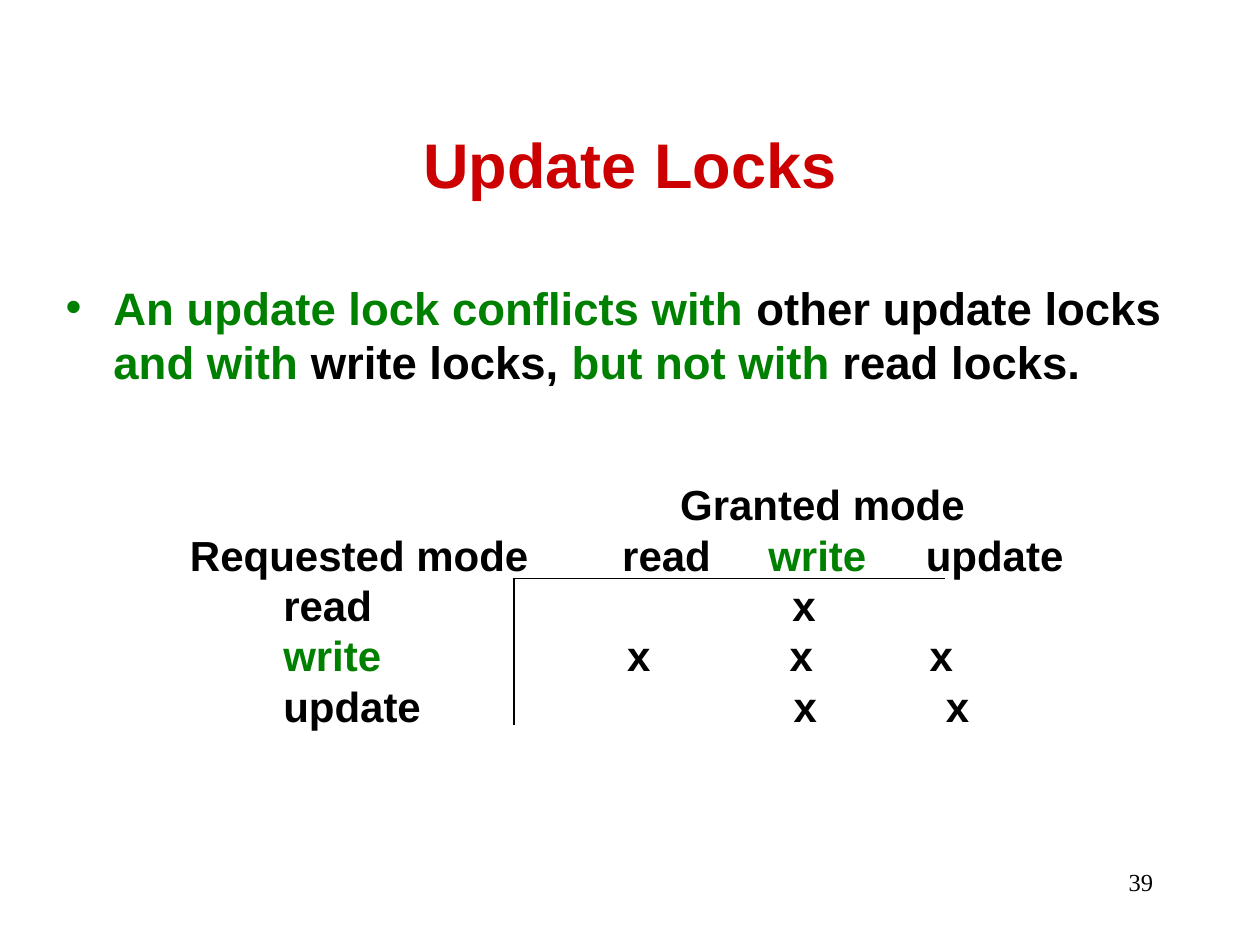
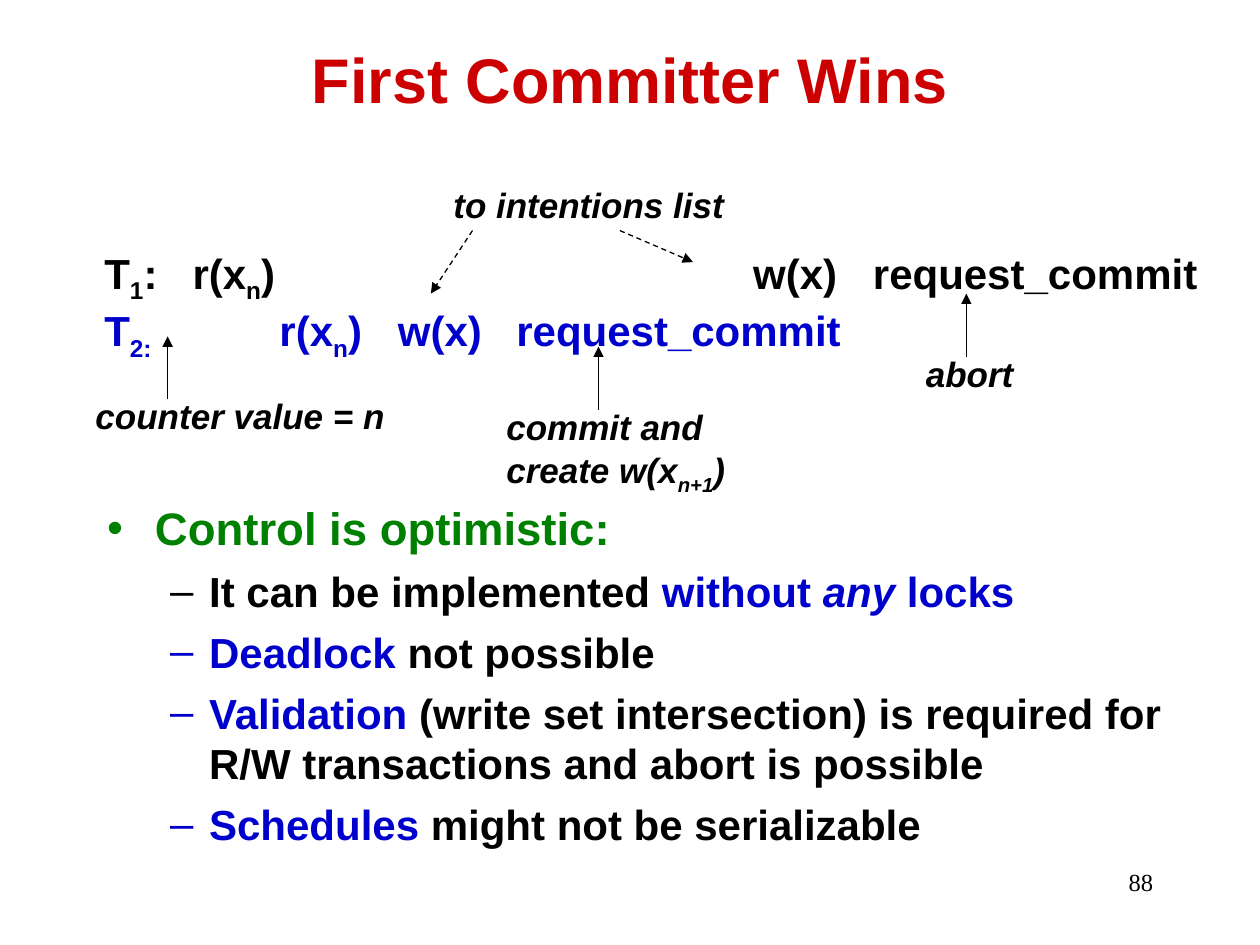
from lxml import etree
from pptx import Presentation
from pptx import util as u
from pptx.dml.color import RGBColor
from pptx.enum import dml, shapes, text
from pptx.oxml import ns

RED, GREEN, BLUE, BLACK = "CC0000", "008000", "0000CC", "000000"


def write(par, size, parts, stops=(), lead=None, face="Arial"):
    """Fill a paragraph with (text, colour, flags) parts: i italic, s subscript."""
    if stops:
        tabs = etree.SubElement(par._p.get_or_add_pPr(), ns.qn("a:tabLst"))
        for stop in stops:
            etree.SubElement(tabs, ns.qn("a:tab"), pos=str(u.Inches(stop)), algn="l")
    par.line_spacing = u.Pt(lead or size * 1.2)
    par.space_before = u.Pt(0)
    for words, hue, flags in parts:
        run = par.add_run()
        run.text = words
        font = run.font
        font.name, font.size = face, u.Pt(size)
        font.bold, font.italic = face == "Arial", "i" in flags
        font.color.rgb = RGBColor.from_string(hue)
        if "s" in flags:
            run._r.get_or_add_rPr().set("baseline", "-25000")


def place(item, spot):
    """Move a shape to left, top, width, height."""
    item.left, item.top, item.width, item.height = map(u.Inches, spot)


deck = Presentation()
deck.slide_width, deck.slide_height = u.Inches(10), u.Inches(7.5)

# Titles and bullet lists: (level, bullet colour, parts)
pages = [
    ("Update Locks", 0.67, "39", (0.42, 2.17, 9.08, 1.25), [
        (0, GREEN, [("An update lock conflicts with", GREEN, ""),
                    (" other update locks ", BLACK, ""),
                    ("and with", GREEN, ""),
                    (" write locks, ", BLACK, ""),
                    ("but not with", GREEN, ""),
                    (" read locks.", BLACK, "")]),
    ]),
    ("First Committer Wins", 0, "88", (0.75, 3.92, 8.83, 3.33), [
        (0, GREEN, [("Control is optimistic:", GREEN, "")]),
        (1, BLACK, [("It can be implemented", BLACK, ""),
                    (" without ", BLUE, ""),
                    ("any", BLUE, "i"),
                    (" locks", BLUE, "")]),
        (1, BLUE, [("Deadlock ", BLUE, ""), ("not possible", BLACK, "")]),
        (1, BLUE, [("Validation", BLUE, ""),
                   (" (write set intersection) is required for R/W transactions"
                    " and abort is possible", BLACK, "")]),
        (1, BLUE, [("Schedules ", BLUE, ""),
                   ("might not be serializable", BLACK, "")]),
    ]),
]
levels = [(26, 0.38, -0.38, "•", 6.5), (24, 0.81, -0.31, "–", 6)]

for name, top, number, spot, items in pages:
    slide = deck.slides.add_slide(deck.slide_layouts[1])
    title, body = slide.placeholders
    place(title, (0.75, top, 8.5, 1.25))
    frame = title.text_frame
    frame.vertical_anchor = text.MSO_ANCHOR.MIDDLE
    frame.auto_size = text.MSO_AUTO_SIZE.NONE
    write(frame.paragraphs[0], 36, [(name, RED, "")])
    frame.paragraphs[0].alignment = text.PP_ALIGN.CENTER

    place(body, spot)
    frame = body.text_frame
    frame.auto_size = text.MSO_AUTO_SIZE.NONE
    for i, (level, hue, parts) in enumerate(items):
        par = frame.add_paragraph() if i else frame.paragraphs[0]
        size, left, hang, mark, gap = levels[level]
        par.level = level
        props = par._p.get_or_add_pPr()
        props.set("marL", str(u.Inches(left)))
        props.set("indent", str(u.Inches(hang)))
        tint = etree.SubElement(props, ns.qn("a:buClr"))
        etree.SubElement(tint, ns.qn("a:srgbClr"), val=hue)
        etree.SubElement(props, ns.qn("a:buChar"), char=mark)
        write(par, size, parts)
        par.space_before = u.Pt(gap if i else 0)

    # Page number
    box = slide.shapes.add_textbox(*map(u.Inches, (7.17, 6.83, 2.08, 0.5)))
    box.text_frame.word_wrap = True
    par = box.text_frame.paragraphs[0]
    write(par, 14, [(number, BLACK, "")], face="Times New Roman")
    par.alignment = text.PP_ALIGN.RIGHT

locks, commit = deck.slides

# Lock matrix, schedule and labels: rows of (tab stops, parts)
matrix = [
    ([3.89], [("\tGranted mode", BLACK, "")]),
    ([3.43, 4.59, 5.84], [("Requested mode\tread\t", BLACK, ""),
                          ("write", GREEN, ""), ("\tupdate", BLACK, "")]),
    ([0.74, 4.78], [("\tread\tx", BLACK, "")]),
    ([0.74, 3.47, 4.76, 5.87], [("\twrite", GREEN, ""),
                                ("\tx\tx\tx", BLACK, "")]),
    ([0.74, 4.79, 6], [("\tupdate\tx\tx", BLACK, "")]),
]
plan = [
    ([0.7, 5.15, 6.1], [("T", BLACK, ""), ("1", BLACK, "s"), (":\tr(x", BLACK, ""),
                        ("n", BLACK, "s"),
                        (")\tw(x)\trequest_commit", BLACK, "")]),
    ([1.39, 2.33, 3.27], [("T", BLUE, ""), ("2:", BLUE, "s"), ("\tr(x", BLUE, ""),
                          ("n", BLUE, "s"),
                          (")\tw(x)\trequest_commit", BLUE, "")]),
]
result = [("commit and create w(x", BLACK, "i"), ("n+1", BLACK, "is"),
          (")", BLACK, "i")]
boxes = [
    (locks, (1.41, 3.75, 7.4, 2.1), 24, None, matrix),
    (commit, (0.73, 1.91, 9.2, 1.02), 24, 33, plan),
    (commit, (0.66, 3.08, 2.8, 0.44), 20, None,
     [((), [("counter value = n", BLACK, "i")])]),
    (commit, (3.92, 3.11, 2.5, 0.88), 20, 28, [((), result)]),
    (commit, (7.25, 2.75, 1.2, 0.44), 20, None,
     [((), [("abort", BLACK, "i")])]),
    (commit, (3.5, 1.41, 2.7, 0.44), 20, None,
     [((), [("to intentions list", BLACK, "i")])]),
]
for slide, spot, size, lead, rows in boxes:
    frame = slide.shapes.add_textbox(*map(u.Inches, spot)).text_frame
    frame.word_wrap = True
    for i, (stops, parts) in enumerate(rows):
        par = frame.add_paragraph() if i else frame.paragraphs[0]
        write(par, size, parts, stops, lead)

# Matrix rules and schedule arrows: (slide, ends, arrow, dashed)
lines = [
    (locks, (4.08, 4.59, 7.5, 4.59), False, False),
    (locks, (4.08, 4.59, 4.08, 5.75), False, False),
    (commit, (1.33, 3.17, 1.33, 2.67), True, False),
    (commit, (4.75, 3.25, 4.75, 2.75), True, False),
    (commit, (7.67, 2.83, 7.67, 2.33), True, False),
    (commit, (3.75, 1.83, 3.42, 2.33), True, True),
    (commit, (4.92, 1.83, 5.5, 2.08), True, True),
]
for slide, ends, arrow, dashed in lines:
    link = slide.shapes.add_connector(
        shapes.MSO_CONNECTOR.STRAIGHT, *map(u.Inches, ends))
    link.line.width = u.Pt(0.75)
    link.line.color.rgb = RGBColor.from_string(BLACK)
    if dashed:
        link.line.dash_style = dml.MSO_LINE.DASH
    if arrow:
        etree.SubElement(link.line._get_or_add_ln(), ns.qn("a:tailEnd"),
                         type="triangle")
    etree.SubElement(link._element.spPr, ns.qn("a:effectLst"))

deck.save("out.pptx")
